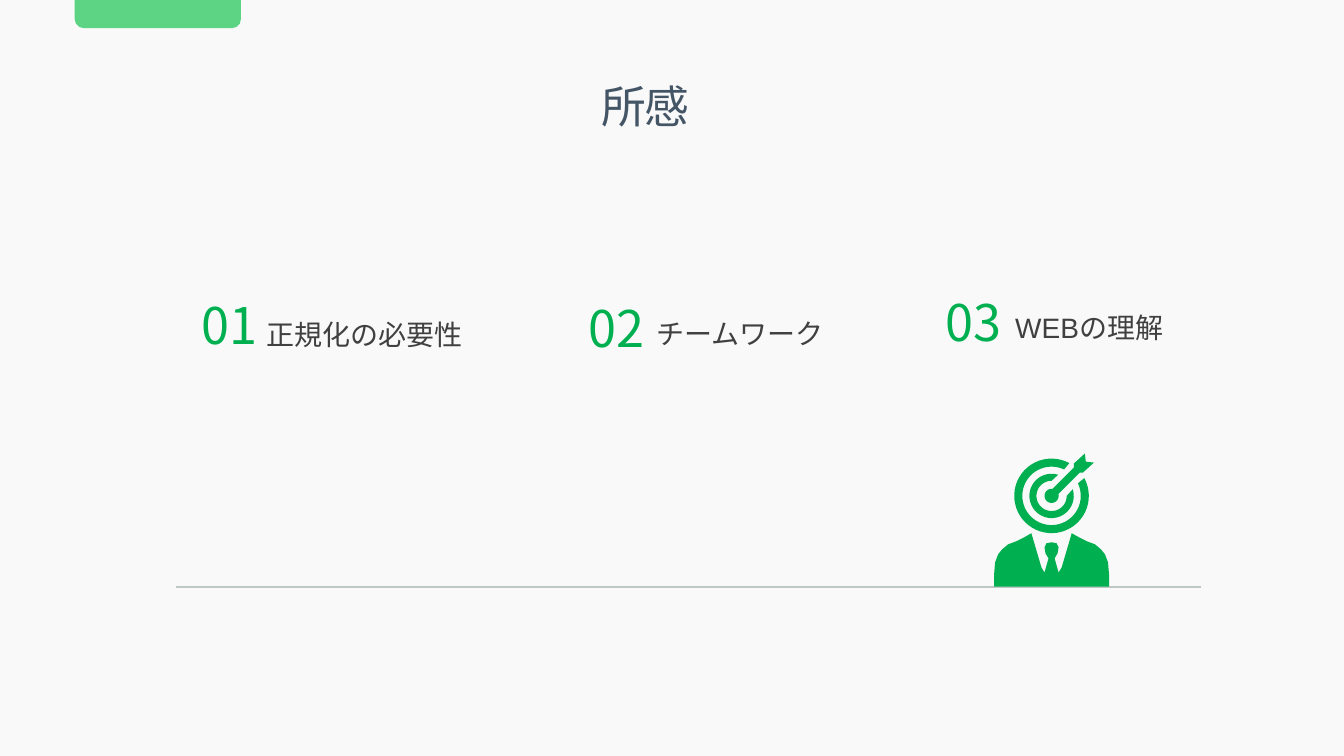
from math import cos, radians, sin

from lxml import etree
from pptx import Presentation
from pptx.dml.color import RGBColor
from pptx.enum.shapes import MSO_CONNECTOR, MSO_SHAPE
from pptx.enum.text import MSO_ANCHOR, MSO_AUTO_SIZE, PP_ALIGN
from pptx.oxml.ns import qn
from pptx.util import Inches, Pt

STRAIGHT = MSO_CONNECTOR.STRAIGHT
TAB_SHAPE = MSO_SHAPE.ROUND_2_SAME_RECTANGLE
MIDDLE = MSO_ANCHOR.MIDDLE
NO_AUTOFIT = MSO_AUTO_SIZE.NONE
LEFT = PP_ALIGN.LEFT
CENTER = PP_ALIGN.CENTER

GREEN = "00B050"
TITLE_ONLY = 5
TITLE_BOX = (4.43, 0.73, 3.95, 0.64)
TAB_BOX = (0.74, 0, 1.65, 0.28)
BASELINE_BOX = (1.75, 5.82, 10.16, 0)
FIGURE_BOX = (9.86, 4.5, 1.14, 1.32)
IMPRESSIONS = [
    ("01", "正規化の必要性", (1.9, 2.86, 2.86, 0.71), 0.64),
    ("02", "チームワーク", (5.74, 2.89, 2.71, 0.71), 0.67),
    ("03", "WEBの理解", (9.28, 2.83, 2.73, 0.71), 0.69),
]
HALF_SUIT = [
    (0, 0.09), (0.05, 0.1), (0.07, 0.14), (0.06, 0.2), (0.03, 0.25),
    (0.07, 0.39), (0.1, 0.34), (0.2, 0), (0.27, 0.04), (0.35, 0.08),
    (0.43, 0.11), (0.49, 0.16), (0.53, 0.21), (0.56, 0.29),
    (0.57, 0.41), (0.57, 0.53),
]
DART_SHAFT = [
    (0.07, -0.02), (0.28, -0.23), (0.31, -0.23), (0.42, -0.33),
    (0.34, -0.34), (0.33, -0.42), (0.22, -0.32), (0.22, -0.28), (0.01, -0.07),
]


def color(value):
    return RGBColor.from_string(value)


def inches(box):
    return [Inches(length) for length in box]


def write(shape, text, size, text_color, font="Arial", align=LEFT, spacing=None):
    frame = shape.text_frame
    frame.word_wrap = True
    frame.auto_size = NO_AUTOFIT
    frame.vertical_anchor = MIDDLE
    paragraph = frame.paragraphs[0]
    paragraph.alignment = align
    run = paragraph.add_run()
    run.text = text
    run.font.name = font
    run.font.size = Pt(size)
    run.font.color.rgb = color(text_color)
    if spacing is not None:
        run.font._element.set("spc", str(int(spacing * 100)))


def paint(shape, fill):
    shape.shadow.inherit = False
    shape.fill.solid()
    shape.fill.fore_color.rgb = color(fill)
    shape.line.fill.background()


def add_outline(slide, center_x, center_y, offsets):
    points = [
        (Inches(center_x + x), Inches(center_y + y)) for x, y in offsets
    ]
    builder = slide.shapes.build_freeform(*points[0])
    builder.add_line_segments(points[1:], close=True)
    paint(builder.convert_to_shape(), GREEN)


def arc(radius, half_gap, steps=48):
    start, sweep = 45 + half_gap, 360 - 2 * half_gap
    angles = [radians(start + sweep * step / steps) for step in range(steps + 1)]
    return [(radius * cos(angle), -radius * sin(angle)) for angle in angles]


def add_title(slide, box):
    title = slide.shapes.title
    title.left, title.top, title.width, title.height = inches(box)
    write(title, "所感", 32, "445566", align=CENTER, spacing=-1.5)


def add_tab(slide, box):
    tab = slide.shapes.add_shape(TAB_SHAPE, *inches(box))
    tab.adjustments[0] = 0
    tab.adjustments[1] = 0.33
    paint(tab, "5CD484")


def add_impression(slide, number, label, box, label_offset):
    left, top, width, height = box
    label_box = (left + label_offset, top + 0.2 + 0.04 * (number == "01"),
                 width - label_offset, 0.44)
    if number != "01":
        label_box = (label_box[0], top + 0.2, label_box[2], 0.44)
    label_shape = slide.shapes.add_textbox(*inches(label_box))
    write(label_shape, label, 20, "404040")
    number_shape = slide.shapes.add_textbox(*inches((left, top, 0.89, height)))
    write(number_shape, number, 36, GREEN, font="Noto Sans CJK KR")


def add_baseline(slide, box):
    left, top, width, height = box
    line = slide.shapes.add_connector(
        STRAIGHT, *inches((left, top, left + width, top + height))
    )
    line.line.color.rgb = color("BFC7C7")
    line.line.width = Pt(1.5)
    etree.SubElement(line._element.spPr, qn("a:effectLst"))


def add_target_figure(slide, box):
    left, top, width, height = box
    center_x = left + width / 2
    target_y = top + 0.42
    mirrored = [(-x, y) for x, y in reversed(HALF_SUIT)]
    add_outline(slide, center_x, top + height - 0.53, HALF_SUIT + mirrored)
    for outer, outer_gap, inner, inner_gap in [
        (0.22, 27.5, 0.15, 45), (0.37, 16.5, 0.29, 19.5)
    ]:
        ring = arc(outer, outer_gap) + arc(inner, inner_gap)[::-1]
        add_outline(slide, center_x, target_y, ring)
    add_outline(slide, center_x, target_y, arc(0.07, 35) + DART_SHAFT)


def main():
    presentation = Presentation()
    presentation.slide_width = Inches(13.33)
    presentation.slide_height = Inches(7.5)
    slide = presentation.slides.add_slide(presentation.slide_layouts[TITLE_ONLY])
    slide.background.fill.solid()
    slide.background.fill.fore_color.rgb = color("F9F9F9")
    for impression in IMPRESSIONS:
        add_impression(slide, *impression)
    add_baseline(slide, BASELINE_BOX)
    add_title(slide, TITLE_BOX)
    add_tab(slide, TAB_BOX)
    add_target_figure(slide, FIGURE_BOX)
    presentation.save("out.pptx")


if __name__ == "__main__":
    main()
